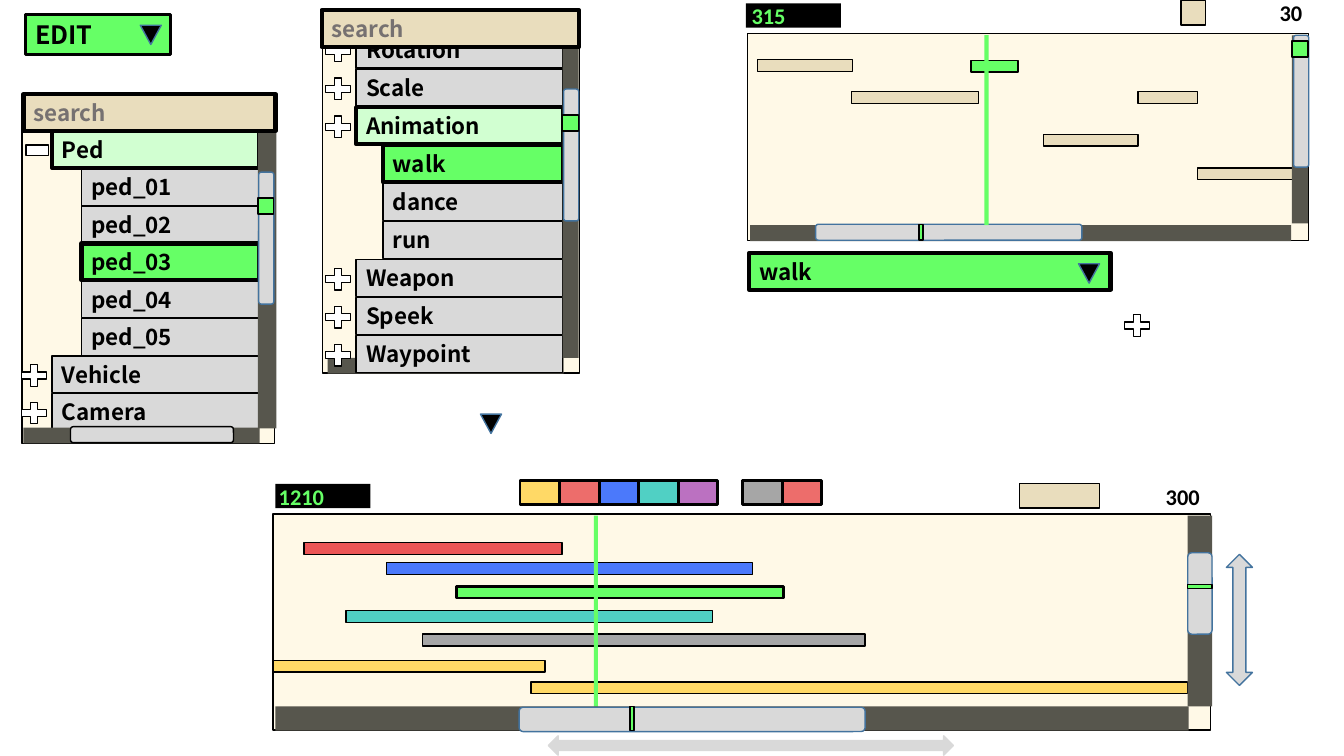
from lxml import etree
from pptx import Presentation
from pptx import util as u
from pptx.dml.color import RGBColor
from pptx.enum import shapes, text
from pptx.oxml import ns

COLORS = {
    "cream": "FFF2CC", "sand": "E9DDBD", "grey": "D9D9D9", "track": "57564D",
    "green": "66FF66", "mint": "D1FFD1", "black": "000000", "white": "FFFFFF",
    "hint": "767171", "steel": "43739E", "red": "EC5656", "coral": "ED6D6B",
    "blue": "4B79FB", "yellow": "FFD966", "teal": "50D0C4", "violet": "BB71C1",
    "silver": "A6A6A6",
}
KINDS = shapes.MSO_SHAPE
ALIGN = text.PP_ALIGN
UI_FONT, NUMBER_FONT = "Noto Sans CJK SC", "Calibri"

# Grid of 160 columns by 90 rows over the whole slide
WIDTH, HEIGHT = u.Inches(13.333), u.Inches(7.5)
COLUMN, ROW = WIDTH / 160, HEIGHT / 90
ROW_HEIGHT, CLIP_HEIGHT, BAR = 4.4, 1.4, 2.9


def place(box):
    left, top, width, height = box
    return [round(n) for n in (left * COLUMN, top * ROW, width * COLUMN, height * ROW)]


def rgb(name):
    return RGBColor.from_string(COLORS[name])


def draw(slide, box, fill, line="black", weight=1, kind=KINDS.RECTANGLE):
    shape = slide.shapes.add_shape(kind, *place(box))
    shape.shadow.inherit = False
    shape.fill.solid()
    shape.fill.fore_color.rgb = rgb(fill)
    if line:
        shape.line.color.rgb = rgb(line)
        shape.line.width = u.Pt(weight)
    else:
        shape.line.fill.background()
    return shape


def write(shape, words, color, size=16, font=UI_FONT, align=ALIGN.LEFT):
    frame = shape.text_frame
    frame.word_wrap = True
    frame.vertical_anchor = text.MSO_ANCHOR.MIDDLE
    paragraph = frame.paragraphs[0]
    paragraph.text = words
    paragraph.alignment = align
    paragraph.font.name = font
    paragraph.font.size = u.Pt(size)
    paragraph.font.bold = True
    paragraph.font.color.rgb = rgb(color)


def field(slide, box, words, fill="grey", weight=1, color="black", size=16):
    write(draw(slide, box, fill, weight=weight), words, color, size)


def number(slide, box, words, color="black", align=ALIGN.RIGHT):
    label = slide.shapes.add_textbox(*place(box))
    write(label, words, color, font=NUMBER_FONT, align=align)


def panel(slide, box):
    shape = draw(slide, box, "cream")
    color = shape._element.spPr.find(".//" + ns.qn("a:srgbClr"))
    etree.SubElement(color, ns.qn("a:alpha"), val="46000")


def plus(slide, left, top):
    draw(slide, (left, top, 4.1, 3.5), "white", kind=KINDS.MATH_PLUS)


def arrow_down(slide, left, top):
    shape = draw(slide, (left, top, 2.5, 2.3), "black", "steel",
                 kind=KINDS.ISOSCELES_TRIANGLE)
    shape.rotation = 180


def scrollbar(slide, track, thumb=None, marker=None, outline="steel"):
    draw(slide, track, "track", None)
    if thumb:
        draw(slide, thumb, "grey", outline, kind=KINDS.ROUNDED_RECTANGLE)
    if marker:
        draw(slide, marker, "green")


def tree(slide, left, top, right, pitch, indent, items):
    """Items are (label, sign, state); the open and picked rows go on top."""
    rows = [(top + i * pitch, *item) for i, item in enumerate(items)]
    fills = {"": "grey", "open": "mint", "picked": "green"}
    for y, label, sign, state in sorted(rows, key=lambda row: row[3] != ""):
        x = left if sign else left + indent
        field(slide, (x, y, right - x, ROW_HEIGHT), label, fills[state],
              3 if state else 1)
        if sign == "+":
            plus(slide, left - 4.2, y + 0.6)
        elif sign == "-":
            draw(slide, (left - 3.6, y - 0.4, 3.7, 5.4), "white",
                 kind=KINDS.MATH_MINUS)


def clips(slide, entries):
    for left, top, width, color, weight in entries:
        draw(slide, (left, top, width, CLIP_HEIGHT), color, weight=weight)


def swatches(slide, left, colors):
    for i, color in enumerate(colors):
        draw(slide, (left + i * 4.71, 57.2, 4.7, BAR), color, weight=2)


def object_browser(slide):
    panel(slide, (2.6, 11.4, 30.1, 41.4))
    tree(slide, 6.2, 15.6, 30.8, 4.46, 3.5, [
        ("Ped", "-", "open"), ("ped_01", "", ""), ("ped_02", "", ""),
        ("ped_03", "", "picked"), ("ped_04", "", ""), ("ped_05", "", ""),
        ("Vehicle", "+", ""), ("Camera", "+", "")])
    scrollbar(slide, (2.8, 50.9, 28.1, 1.9), (8.4, 50.8, 19.4, 1.9), outline="black")
    scrollbar(slide, (30.7, 15.6, 2.2, 35.4), (30.8, 20.5, 1.8, 15.7),
              (30.7, 23.6, 1.9, 1.9))
    field(slide, (2.8, 11.2, 30, ROW_HEIGHT), "search", "sand", 3, "hint")


def property_browser(slide):
    panel(slide, (38.4, 1.4, 30.6, 43))
    scrollbar(slide, (39, 42.6, 28.1, 1.9))
    tree(slide, 42.4, 3.7, 67, 4.53, 3.2, [
        ("Rotation", "+", ""), ("Scale", "+", ""), ("Animation", "+", "open"),
        ("walk", "", "picked"), ("dance", "", ""), ("run", "", ""),
        ("Weapon", "+", ""), ("Speek", "+", ""), ("Waypoint", "+", "")])
    scrollbar(slide, (67, 5.6, 1.9, 37), (67.1, 10.6, 1.8, 15.7),
              (67, 13.7, 1.9, 1.9))
    field(slide, (38.3, 1.2, 30.6, ROW_HEIGHT), "search", "sand", 3, "hint")


def clip_timeline(slide):
    draw(slide, (88.8, 0.4, 11.3, BAR), "black", None)
    number(slide, (88.1, -0.4, 6.6, ROW_HEIGHT), "315", "green")
    draw(slide, (140.6, 0.1, BAR, BAR), "sand")
    number(slide, (149.6, -0.7, 6.6, ROW_HEIGHT), "30")
    panel(slide, (89, 4, 66.8, 24.6))
    scrollbar(slide, (89.3, 26.8, 64.4, 1.9), (97.1, 26.7, 31.7, 1.9),
              (109.4, 26.7, 0.5, 1.9))
    clips(slide, [
        (90.2, 7.1, 11.3, "sand", 1), (101.4, 10.9, 15.1, "sand", 1),
        (115.6, 7.2, 5.6, "green", 1), (124.2, 16, 11.3, "sand", 1),
        (135.5, 10.9, 7.1, "sand", 1), (142.6, 20, 11.3, "sand", 1)])
    draw(slide, (117.2, 4.2, 0.5, 22.6), "green", None)
    scrollbar(slide, (153.8, 4.2, 1.9, 22.4), (154, 4.2, 1.8, 15.7),
              (153.8, 4.9, 1.9, 1.9))


def scene_timeline(slide):
    draw(slide, (32.8, 57.6, 11.3, BAR), "black", None)
    number(slide, (32, 56.9, 9.2, ROW_HEIGHT), "1210", "green", ALIGN.LEFT)
    swatches(slide, 61.9, ["yellow", "coral", "blue", "teal", "violet"])
    swatches(slide, 88.4, ["silver", "coral"])
    draw(slide, (121.4, 57.6, 9.5, BAR), "sand")
    number(slide, (137.4, 56.9, 6.6, ROW_HEIGHT), "300")
    panel(slide, (32.5, 61.2, 111.6, 25.7))
    clips(slide, [
        (36.2, 64.6, 30.7, "red", 1), (46, 67, 43.6, "blue", 1),
        (54.4, 69.8, 38.9, "green", 2), (41.2, 72.7, 43.6, "teal", 1),
        (50.3, 75.5, 52.7, "silver", 1), (32.5, 78.6, 32.4, "yellow", 1),
        (63.2, 81.2, 78.2, "yellow", 1)])
    scrollbar(slide, (141.4, 61.4, BAR, 22.7), (141.4, 65.8, BAR, 9.7),
              (141.4, 69.6, BAR, 0.5))
    draw(slide, (70.7, 61.4, 0.5, 22.8), "green", None)
    scrollbar(slide, (32.8, 84.1, 108.7, BAR), (61.8, 84.2, 41.2, BAR),
              (75, 84.1, 0.5, BAR))
    # Scroll direction arrows
    draw(slide, (146, 66, 3.1, 15.6), "grey", "steel", kind=KINDS.UP_DOWN_ARROW)
    draw(slide, (65.3, 87.6, 48.2, 2.3), "grey", "grey", kind=KINDS.LEFT_RIGHT_ARROW)


def main():
    presentation = Presentation()
    presentation.slide_width, presentation.slide_height = WIDTH, HEIGHT
    slide = presentation.slides.add_slide(presentation.slide_layouts[6])
    # Browsers and timelines
    object_browser(slide)
    property_browser(slide)
    clip_timeline(slide)
    scene_timeline(slide)
    # Drop-down buttons and loose icons
    field(slide, (3, 1.7, 17.3, 4.8), "EDIT", "green", 2, size=18)
    field(slide, (89.2, 30.1, 43, ROW_HEIGHT), "walk", "green", 3)
    for left, top in [(16.7, 3), (128.4, 31.4), (57.2, 49.3)]:
        arrow_down(slide, left, top)
    plus(slide, 133.3, 37)
    presentation.save("out.pptx")


if __name__ == "__main__":
    main()
